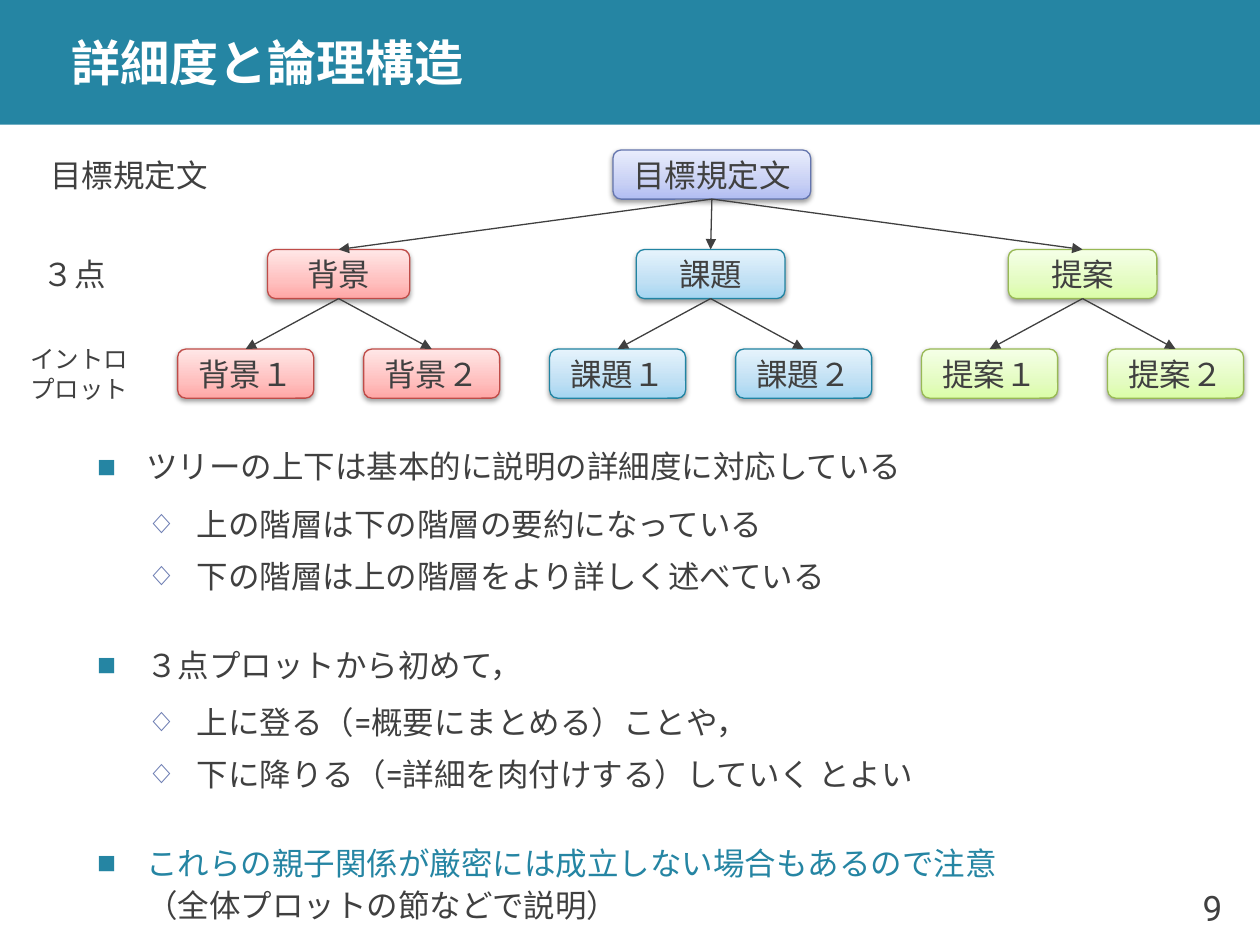
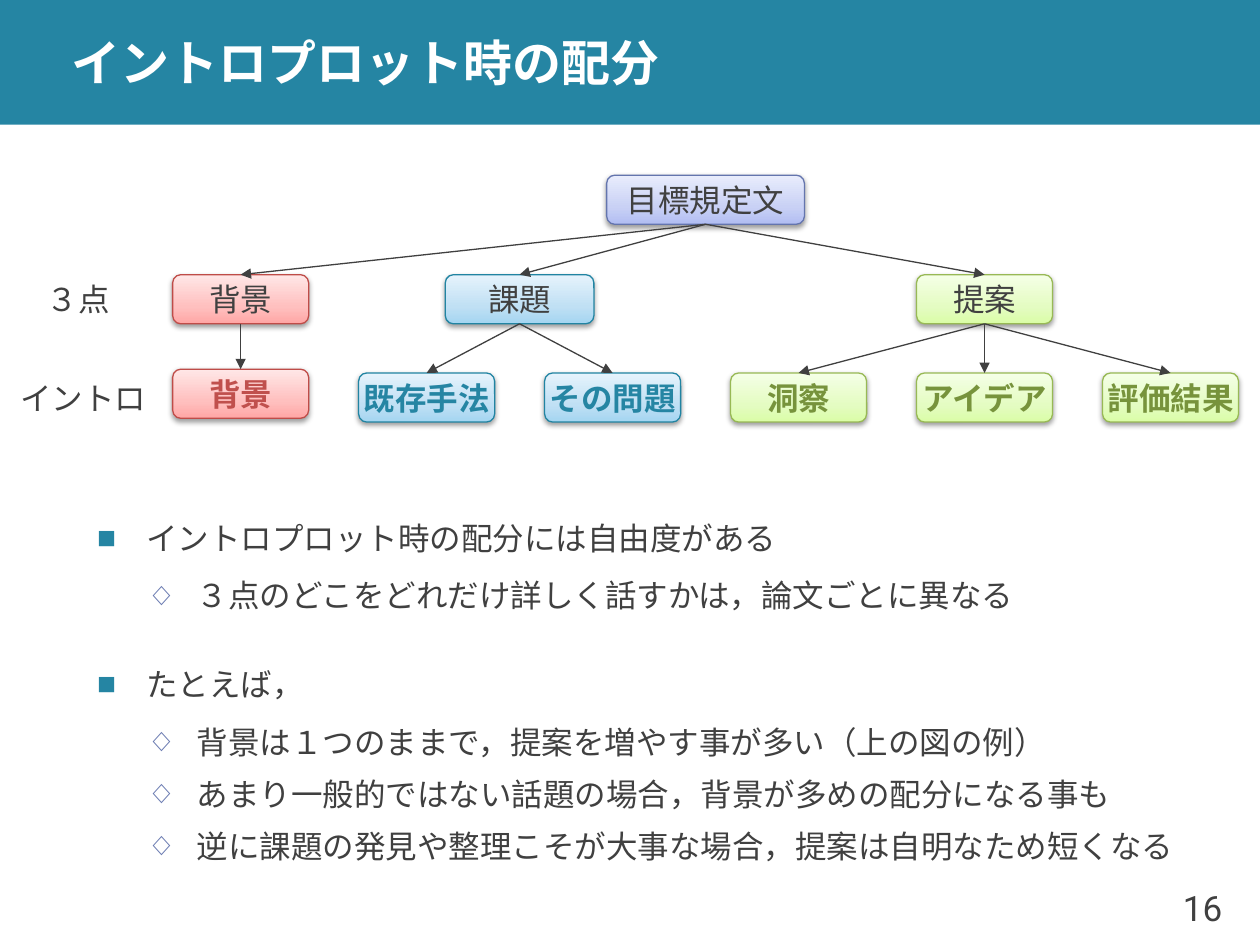
from dataclasses import dataclass
from typing import Any, Optional

from pptx import Presentation
from pptx.dml.color import RGBColor
from pptx.enum.shapes import MSO_CONNECTOR, MSO_SHAPE
from pptx.enum.text import MSO_ANCHOR, MSO_AUTO_SIZE, PP_ALIGN
from pptx.oxml import parse_xml
from pptx.oxml.ns import nsdecls, qn
from pptx.util import Inches, Pt


@dataclass(frozen=True)
class Palette:
    """Gradient from bottom to top, outline and emphasised text."""
    stops: tuple[str, str, str]
    line: str
    strong: str


@dataclass(frozen=True)
class Theme:
    """Colours, fonts and type sizes of the deck."""
    accent: str = "2585A3"
    text: str = "404040"
    white: str = "FFFFFF"
    diamond: str = "6879B0"
    latin: str = "Roboto"
    japanese: str = "Noto Sans CJK JP"
    bullet_font: str = "Arial"
    title: int = 28
    number: int = 20
    body: int = 18
    small: int = 14
    goal: Palette = Palette(("B1BDF2", "C9D1F5", "E9EDFC"), "6475AE", "404040")
    red: Palette = Palette(("FFA6A5", "FFC0BF", "FFE7E7"), "BF4C48", "C0504D")
    blue: Palette = Palette(("A4D5F1", "C0E0F4", "E6F3FC"), "2184A2", "2585A3")
    green: Palette = Palette(("DAFDA7", "E4FCC2", "F5FFE7"), "98B955", "77933C")


THEME = Theme()
NODE_HEIGHT = 0.39
LEAF_WIDTH = 1.08
LEAF_PITCH = 1.476
GOAL = "目標規定文"


@dataclass(frozen=True)
class Branch:
    """One of the three points, with the leaves under it."""
    text: str
    palette: Palette
    width: float
    leaves: tuple[str, ...]
    leaf_top: float


@dataclass(frozen=True)
class Label:
    """A row name left of the tree."""
    lines: tuple[str, ...]
    left: float
    top: float
    size: int = THEME.body
    align: PP_ALIGN = PP_ALIGN.CENTER


@dataclass(frozen=True)
class Tree:
    """Goal, branches and the rows they stand on."""
    goal_center: float
    goal_top: float
    branch_top: float
    first_leaf: float
    branches: tuple[Branch, ...]
    labels: tuple[Label, ...]
    strong_leaves: bool = False


@dataclass(frozen=True)
class Item:
    """A list entry; a note follows on its own line."""
    text: str
    level: int = 0
    color: str = THEME.text
    note: str = ""


@dataclass(frozen=True)
class Page:
    """Everything that differs from slide to slide."""
    title: str
    number: int
    body_top: float
    tree: Tree
    items: tuple[Item, ...]


PAGES = (
    Page("詳細度と論理構造", 9, 3.75,
         Tree(5.65, 1.19, 1.98, 1.95,
              (Branch("背景", THEME.red, 1.13, ("背景１", "背景２"), 2.77),
               Branch("課題", THEME.blue, 1.18, ("課題１", "課題２"), 2.77),
               Branch("提案", THEME.green, 1.18, ("提案１", "提案２"), 2.77)),
              (Label(("３点",), 0, 1.98),
               Label(("イントロ", "プロット"), 0.04, 2.77, THEME.small),
               Label((GOAL,), 0.28, 1.19, align=PP_ALIGN.LEFT))),
         (Item("ツリーの上下は基本的に説明の詳細度に対応している"),
          Item("上の階層は下の階層の要約になっている", 1),
          Item("下の階層は上の階層をより詳しく述べている", 1),
          Item("３点プロットから初めて，"),
          Item("上に登る（=概要にまとめる）ことや，", 1),
          Item("下に降りる（=詳細を肉付けする）していく とよい", 1),
          Item("これらの親子関係が厳密には成立しない場合もあるので注意", 0,
               THEME.accent, "（全体プロットの節などで説明）"))),
    Page("イントロプロット時の配分", 16, 3.85,
         Tree(5.6, 1.39, 2.18, 1.91,
              (Branch("背景", THEME.red, 1.08, ("背景",), 2.93),
               Branch("課題", THEME.blue, 1.18, ("既存手法", "その問題"), 2.96),
               Branch("提案", THEME.green, 1.08, ("洞察", "アイデア", "評価結果"), 2.96)),
              (Label(("３点",), 0.03, 2.18),
               Label(("イントロ",), 0.07, 2.96)),
              strong_leaves=True),
         (Item("イントロプロット時の配分には自由度がある"),
          Item("３点のどこをどれだけ詳しく話すかは，論文ごとに異なる", 1),
          Item("たとえば，"),
          Item("背景は１つのままで，提案を増やす事が多い（上の図の例）", 1),
          Item("あまり一般的ではない話題の場合，背景が多めの配分になる事も", 1),
          Item("逆に課題の発見や整理こそが大事な場合，提案は自明なため短くなる", 1))),
)


def assign(target: Any, **values: Any) -> None:
    """Set each named attribute on the target."""
    for name, value in values.items():
        setattr(target, name, value)


def place(shape: Any, left: float, top: float, width: float, height: float) -> None:
    """Move and size a shape, in inches."""
    assign(shape, left=Inches(left), top=Inches(top),
           width=Inches(width), height=Inches(height))


def add_span(para: Any, text: str, size: int, color: str = THEME.text,
             bold: bool = False, font: str = THEME.latin) -> None:
    """Append formatted text to a paragraph."""
    span = para.add_run()
    span.text = text
    assign(span.font, size=Pt(size), bold=bold, name=font)
    span.font.color.rgb = RGBColor.from_string(color)
    latin = span.font._element.find(qn("a:latin"))
    latin.addnext(parse_xml(f'<a:ea {nsdecls("a")} typeface="{THEME.japanese}"/>'))


def frame_of(shape: Any, wrap: bool) -> Any:
    """Return the text frame, centred vertically and of fixed size."""
    frame = shape.text_frame
    assign(frame, word_wrap=wrap, auto_size=MSO_AUTO_SIZE.NONE,
           vertical_anchor=MSO_ANCHOR.MIDDLE)
    return frame


def add_box(slide: Any, lines: tuple[str, ...], left: float, top: float, width: float,
            palette: Optional[Palette] = None, size: int = THEME.body,
            align: PP_ALIGN = PP_ALIGN.CENTER, strong: bool = False) -> Any:
    """Draw a rounded box, filled and shaded when it has a palette."""
    box = slide.shapes.add_shape(MSO_SHAPE.ROUNDED_RECTANGLE, Inches(left), Inches(top),
                                 Inches(width), Inches(NODE_HEIGHT))
    box.shadow.inherit = False
    box.fill.background()
    if palette:
        paint(box, palette)
    else:
        box.line.fill.background()
    frame = frame_of(box, False)
    color = palette.strong if palette and strong else THEME.text
    for index, line in enumerate(lines):
        para = frame.add_paragraph() if index else frame.paragraphs[0]
        para.alignment = align
        add_span(para, line, size, color, strong, THEME.japanese)
    return box


def paint(box: Any, palette: Palette) -> None:
    """Give a box its gradient, outline and soft shadow."""
    properties = box.element.spPr
    stops = "".join(f'<a:gs pos="{position}"><a:srgbClr val="{color}"/></a:gs>'
                    for position, color in zip((0, 35000, 100000), palette.stops))
    properties.replace(properties.find(qn("a:noFill")), parse_xml(
        f'<a:gradFill {nsdecls("a")} rotWithShape="1"><a:gsLst>{stops}</a:gsLst>'
        '<a:lin ang="16200000" scaled="0"/></a:gradFill>'))
    box.line.color.rgb = RGBColor.from_string(palette.line)
    box.line.width = Pt(0.75)
    properties.find(qn("a:effectLst")).append(parse_xml(
        f'<a:outerShdw {nsdecls("a")} blurRad="{Pt(3.1)}" dist="{Pt(1.6)}" dir="5400000" '
        'rotWithShape="0"><a:srgbClr val="000000"><a:alpha val="38000"/></a:srgbClr>'
        '</a:outerShdw>'))


def add_arrow(slide: Any, parent: Any, child: Any) -> None:
    """Link the bottom of a parent to the top of its child."""
    arrow = slide.shapes.add_connector(MSO_CONNECTOR.STRAIGHT, 0, 0, 0, 0)
    arrow.begin_connect(parent, 2)
    arrow.end_connect(child, 0)
    arrow.line.color.rgb = RGBColor.from_string(THEME.text)
    arrow.line.width = Pt(0.75)
    properties = arrow.element.spPr
    properties.find(qn("a:ln")).append(
        parse_xml(f'<a:tailEnd {nsdecls("a")} type="triangle"/>'))
    properties.append(parse_xml(f'<a:effectLst {nsdecls("a")}/>'))


def add_tree(slide: Any, tree: Tree) -> None:
    """Draw the goal, each branch above the middle of its leaves, and the labels."""
    goal = add_box(slide, (GOAL,), tree.goal_center - 1.57 / 2, tree.goal_top, 1.57,
                   THEME.goal)
    start = tree.first_leaf
    for branch in tree.branches:
        center = start + LEAF_PITCH * (len(branch.leaves) - 1) / 2
        node = add_box(slide, (branch.text,), center - branch.width / 2,
                       tree.branch_top, branch.width, branch.palette)
        add_arrow(slide, goal, node)
        for text in branch.leaves:
            leaf = add_box(slide, (text,), start - LEAF_WIDTH / 2, branch.leaf_top,
                           LEAF_WIDTH, branch.palette, strong=tree.strong_leaves)
            add_arrow(slide, node, leaf)
            start += LEAF_PITCH
    for label in tree.labels:
        add_box(slide, label.lines, label.left, label.top, 1.18,
                size=label.size, align=label.align)


def add_items(body: Any, items: tuple[Item, ...]) -> None:
    """Fill the body placeholder with a two-level list."""
    frame = frame_of(body, True)
    for index, item in enumerate(items):
        para = frame.add_paragraph() if index else frame.paragraphs[0]
        before, after = (3, 3) if item.level else (24, 6)
        assign(para, level=item.level, line_spacing=1.1, alignment=PP_ALIGN.LEFT,
               space_before=Pt(before), space_after=Pt(after))
        add_span(para, item.text, THEME.body, item.color)
        if item.note:
            para.add_line_break()
            add_span(para, item.note, THEME.body)
        mark, color, scale = (("◇", THEME.diamond, 90) if item.level
                              else ("■", THEME.accent, 100))
        properties = para._p.get_or_add_pPr()
        properties.set("marL", str(Inches(0.39 + 0.4 * item.level)))
        properties.set("indent", str(Inches(-0.39)))
        for tag in (f'buClr {nsdecls("a")}><a:srgbClr val="{color}"/></a:buClr>',
                    f'buSzPct {nsdecls("a")} val="{scale * 1000}"/>',
                    f'buFont {nsdecls("a")} typeface="{THEME.bullet_font}"/>',
                    f'buChar {nsdecls("a")} char="{mark}"/>'):
            properties.append(parse_xml("<a:" + tag))


def add_band(deck: Any, slide: Any) -> None:
    """Put the title band at the back of the slide master."""
    band = slide.shapes.add_shape(MSO_SHAPE.RECTANGLE, 0, 0, deck.slide_width, Inches(0.99))
    band.shadow.inherit = False
    band.fill.solid()
    band.fill.fore_color.rgb = RGBColor.from_string(THEME.accent)
    band.line.fill.background()
    band.element.nvSpPr.cNvPr.id = 20
    deck.slide_master.shapes.element.insert(2, band.element)


def fill_page(slide: Any, page: Page) -> None:
    """Build title, list, tree and page number."""
    title, body = slide.shapes.title, slide.placeholders[1]
    place(title, 0.47, 0, 9.53, 0.99)
    frame = frame_of(title, True)
    assign(frame, margin_top=0, margin_bottom=0)
    frame.paragraphs[0].alignment = PP_ALIGN.LEFT
    add_span(frame.paragraphs[0], page.title, THEME.title, THEME.white, True)
    place(body, 0.67, page.body_top, 9.06, 7.1 - page.body_top)
    add_items(body, page.items)
    add_tree(slide, page.tree)
    number = slide.shapes.add_textbox(Inches(9.13), Inches(6.9), Inches(0.67), Inches(0.6))
    para = frame_of(number, False).paragraphs[0]
    para.alignment = PP_ALIGN.RIGHT
    add_span(para, str(page.number), THEME.number)


def main() -> None:
    """Build and save the deck."""
    deck = Presentation()
    assign(deck, slide_width=Inches(10), slide_height=Inches(7.5))
    for index, page in enumerate(PAGES):
        slide = deck.slides.add_slide(deck.slide_layouts[1])
        if index == 0:
            add_band(deck, slide)
        fill_page(slide, page)
    deck.save("out.pptx")


main()
